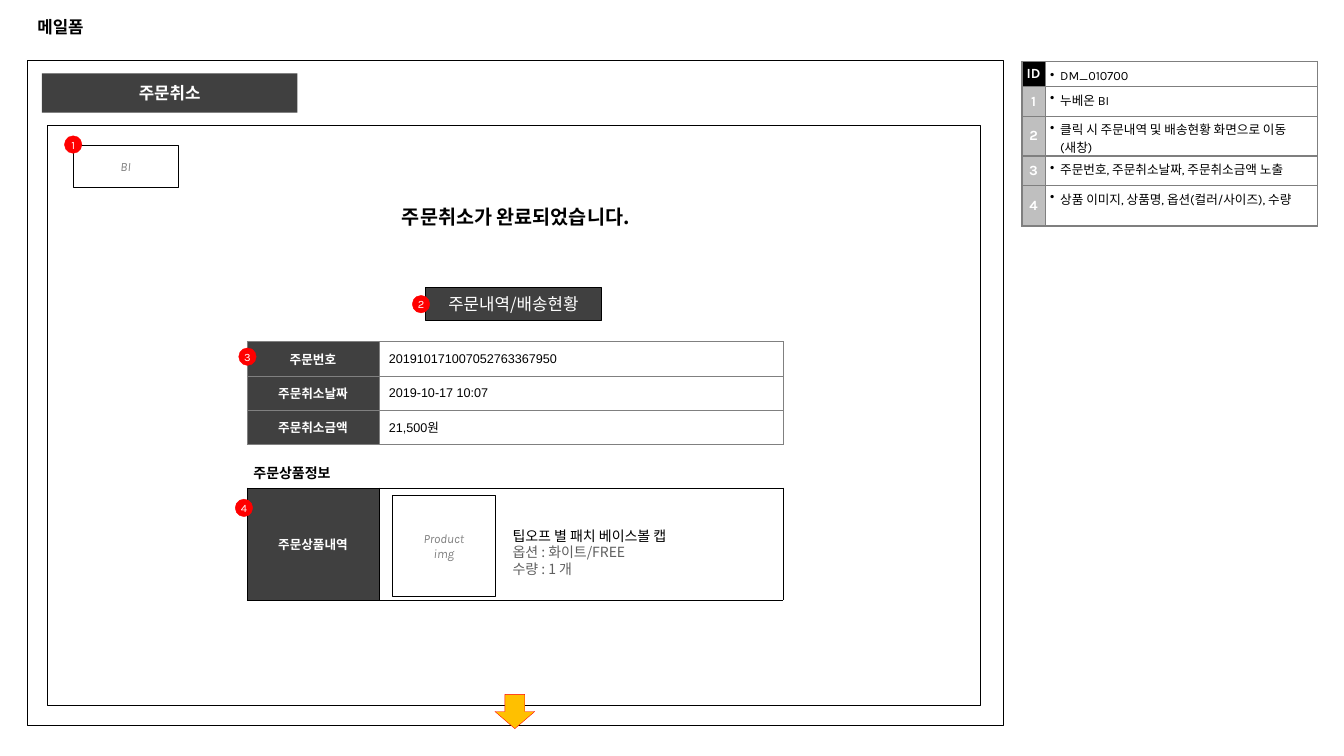
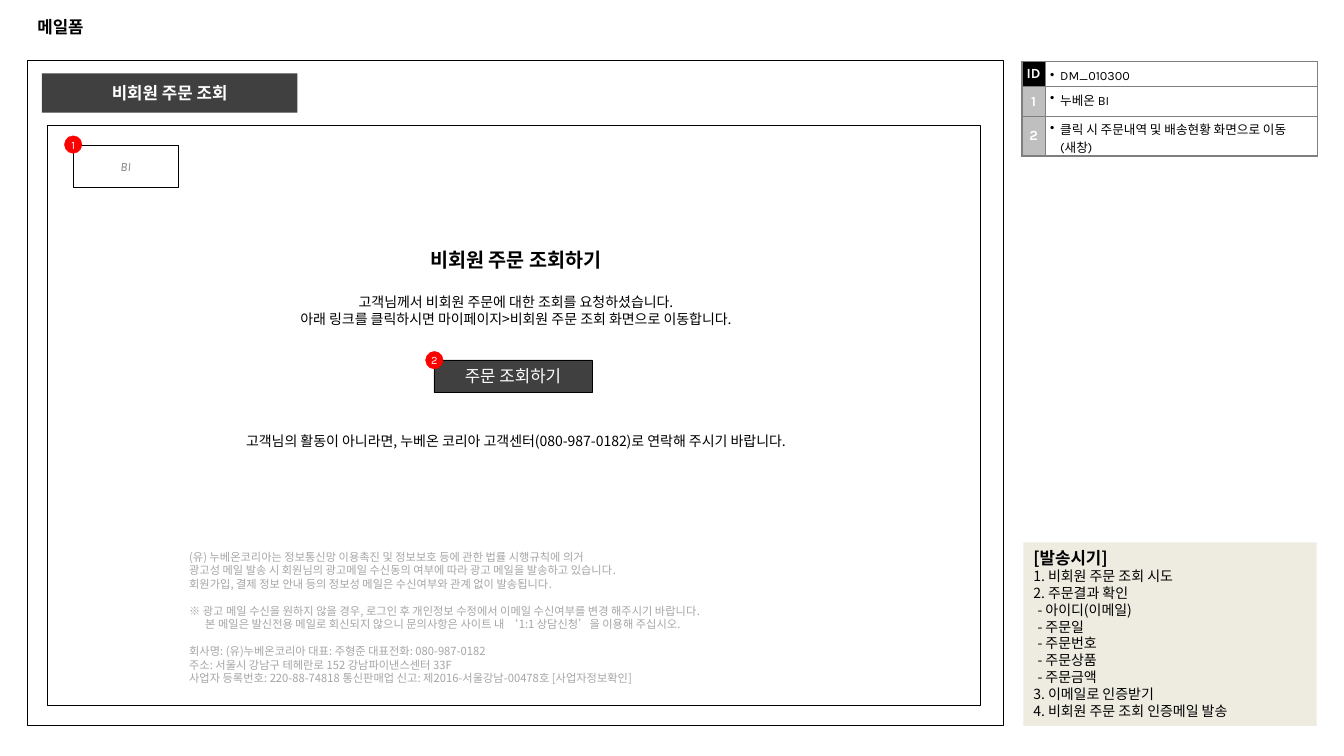
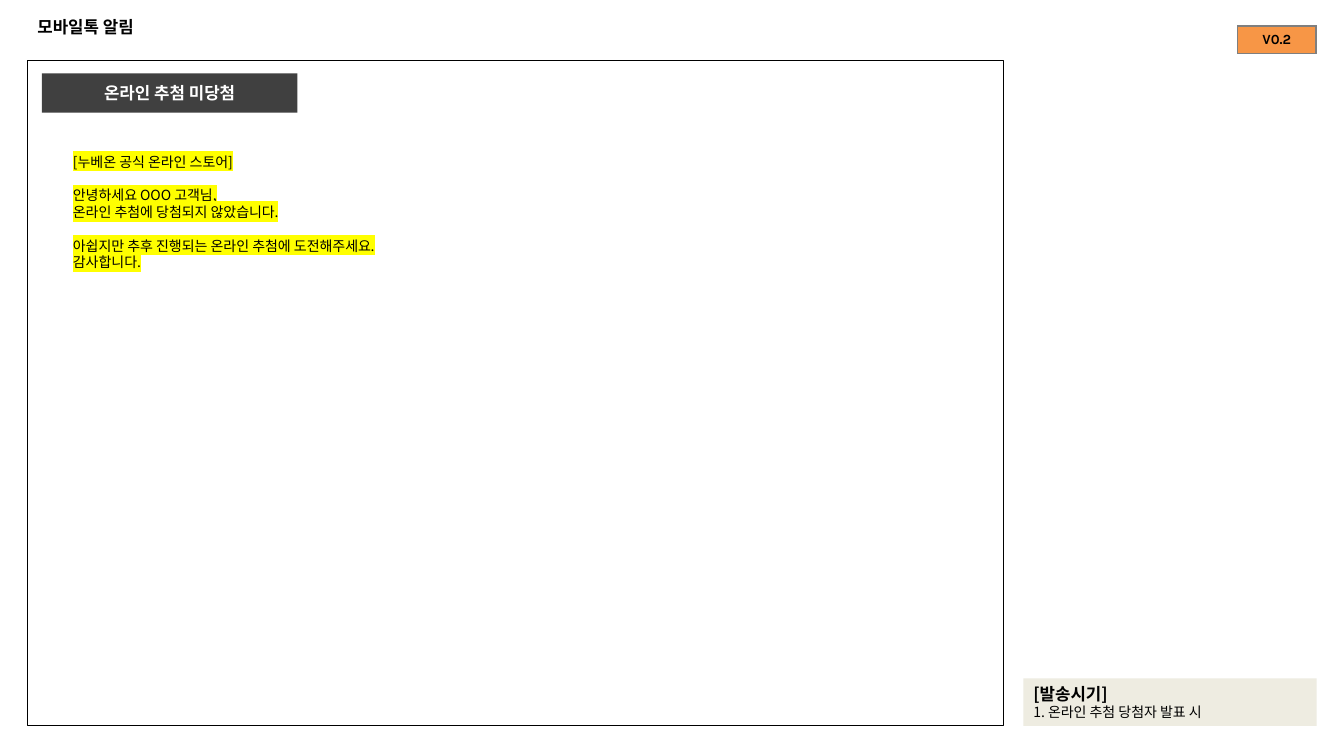
from lxml.etree import SubElement
from pptx import Presentation
from pptx.dml.color import RGBColor
from pptx.enum.shapes import MSO_SHAPE
from pptx.enum.text import MSO_ANCHOR, MSO_AUTO_SIZE, PP_ALIGN
from pptx.oxml.ns import qn
from pptx.util import Pt

COLORS = {
    "black": "000000", "white": "FFFFFF", "dark": "404040", "text gray": "606060",
    "gray": "808080", "border": "7F7F7F", "number": "BFBFBF", "legal": "A5A5A5",
    "red": "FF0000", "gold": "FFC000", "orange": "F79646", "beige": "EEECE1",
    "yellow": "FFFF00",
}
KOREAN = "Noto Sans CJK KR"
MARGINS = ("margin_left", "margin_top", "margin_right", "margin_bottom")
BASE = {
    "font": KOREAN, "size": 10, "color": "black", "bold": False, "italic": False,
    "align": PP_ALIGN.LEFT, "before": 0, "leading": None, "indent": 0,
    "bullet": False, "highlight": None,
}
CENTER = {"align": PP_ALIGN.CENTER}
NO_INSET = {"inset": (0, 0, 0, 0)}
TITLE = {"font": "Arial", "size": 12, "bold": True}
BAND = {**TITLE, **CENTER, "color": "white"}
BUTTON = {**CENTER, "size": 12, "color": "white"}
BADGE = {**CENTER, **NO_INSET, "font": "Karla", "size": 8, "color": "white"}
DUMMY = {**CENTER, "font": "Karla", "size": 9, "italic": True, "color": "gray",
         "inset": (3, 3, 3, 3)}
HEADING = {**CENTER, "size": 14, "bold": True}
BODY = {"leading": 12, "anchor": MSO_ANCHOR.TOP}
LEGAL = {"size": 8, "color": "legal", "leading": 9.6, "anchor": MSO_ANCHOR.TOP}
NOTE_HEAD = {"size": 12, "bold": True, "leading": 14.5}
ORDER_LABEL = {**CENTER, "font": "Arial", "size": 9, "bold": True, "color": "white"}
ORDER_VALUE = {"font": "Arial", "size": 9}
SIDE_LABEL = {**CENTER, **NO_INSET, "font": "Karla", "bold": True, "color": "white"}
SIDE_TEXT = {"font": "Karla", "size": 9, "bullet": True, "leading": 12.4,
             "anchor": MSO_ANCHOR.TOP, "inset": (3.6, 3.6, 3.6, 0)}
VERSION = {**SIDE_LABEL, "color": "black"}


def write(holder, lines, anchor=MSO_ANCHOR.MIDDLE, inset=(7.2, 3.6, 7.2, 3.6), **style):
    """Fill a text frame or a table cell; a line is a text or (text, own style)."""
    holder.vertical_anchor = anchor
    for side, margin in zip(MARGINS, inset):
        setattr(holder, side, Pt(margin))
    frame = getattr(holder, "text_frame", holder)
    frame.word_wrap = True
    for index, line in enumerate(lines):
        text, own = (line, {}) if isinstance(line, str) else line
        look = {**BASE, **style, **own}
        paragraph = frame.add_paragraph() if index else frame.paragraphs[0]
        paragraph.alignment = look["align"]
        paragraph.space_before = Pt(look["before"])
        if look["leading"]:
            paragraph.line_spacing = Pt(look["leading"])
        properties = paragraph._p.get_or_add_pPr()
        if look["indent"]:
            properties.set("marL", str(Pt(look["indent"])))
        if look["bullet"]:
            properties.set("marL", str(Pt(7.2)))
            properties.set("indent", str(-Pt(7.2)))
            SubElement(properties, qn("a:buChar"), char="•")
        run = paragraph.add_run()
        run.text = text
        for name, value in {"size": Pt(look["size"]), "bold": look["bold"],
                            "italic": look["italic"]}.items():
            setattr(run.font, name, value)
        run.font.color.rgb = RGBColor.from_string(COLORS[look["color"]])
        run_properties = run._r.get_or_add_rPr()
        if look["highlight"]:
            highlight = SubElement(run_properties, qn("a:highlight"))
            SubElement(highlight, qn("a:srgbClr"), val=COLORS[look["highlight"]])
        SubElement(run_properties, qn("a:latin"), typeface=look["font"])
        SubElement(run_properties, qn("a:ea"), typeface=KOREAN)


def badge(number, left, top):
    return (MSO_SHAPE.OVAL, (left, top, 12.5, 12.5), "red", "red", 0.25,
            [str(number)], BADGE)


# Tables: place, column widths, border colour and width, rows of (height, cells)
side_notes = [
    (21, "누베온 BI"),
    (28.5, "클릭 시 주문내역 및 배송현황 화면으로 이동(새창)"),
    (21, "주문번호, 주문취소날짜, 주문취소금액 노출"),
    (29, "상품 이미지, 상품명, 옵션(컬러/사이즈), 수량"),
]
side_tables = []
for screen_id, note_count in (("DM_010700", 4), ("DM_010300", 2)):
    rows = [(18, [("ID", SIDE_LABEL, "black"), (screen_id, SIDE_TEXT, None)])]
    for number, (height, note) in enumerate(side_notes[:note_count], 1):
        rows.append((height, [(str(number), SIDE_LABEL, "number"), (note, SIDE_TEXT, None)]))
    side_tables.append(((730, 44), (16.5, 194.5), "border", 1, rows))

order_rows = [
    (24.5, [(label, ORDER_LABEL, "dark"), (value, ORDER_VALUE, "white")])
    for label, value in (
        ("주문번호", "201910171007052763367950"),
        ("주문취소날짜", "2019-10-17 10:07"),
        ("주문취소금액", "21,500원"),
    )
]
order_table = ((176.5, 244), (94, 289), "gray", 0.25, order_rows)
product_table = ((176.5, 348.5), (94, 289), "black", 0.25,
                 [(80, [("주문상품내역", ORDER_LABEL, "dark"), ("", ORDER_VALUE, "white")])])
version_table = ((884, 18.5), (56,), "border", 1, [(20, [("V0.2", VERSION, "orange")])])

# Boxes: shape, place, fill, line, line width, lines of text, style
mail_boxes = [
    (MSO_SHAPE.RECTANGLE, (34, 89.5, 666, 414), None, "black", 0.25, [], {}),
    (MSO_SHAPE.RECTANGLE, (52.5, 103.5, 74.5, 30.5), None, "black", 0.25, ["BI"], DUMMY),
    badge(1, 46, 97),
]
cancel_boxes = [
    (MSO_SHAPE.RECTANGLE, (304, 205, 125.5, 23.5), "dark", "black", 0.25,
     ["주문내역/배송현황"], BUTTON),
    (MSO_SHAPE.RECTANGLE, (280, 353.5, 74, 72.5), None, "black", 0.25,
     ["Product", "img"], DUMMY),
    (MSO_SHAPE.DOWN_ARROW, (353.5, 496, 28.5, 24.5), "gold", "red", 0.25, [], {}),
    badge(2, 294.5, 211),
    badge(3, 170.5, 248.5),
    badge(4, 168, 356.5),
]
guest_boxes = [
    (MSO_SHAPE.RECTANGLE, (310, 257, 113, 23.5), "dark", "black", 0.25,
     ["주문 조회하기"], BUTTON),
    badge(2, 304, 251),
    (MSO_SHAPE.RECTANGLE, (731, 387.5, 209.5, 131), "beige", None, 0, [
        ("[발송시기]", NOTE_HEAD),
        "1. 비회원 주문 조회 시도",
        "2. 주문결과 확인",
        *[(f"- {item}", {"indent": 3})
          for item in ("아이디(이메일)", "주문일", "주문번호", "주문상품", "주문금액")],
        "3. 이메일로 인증받기",
        "4. 비회원 주문 조회 인증메일 발송",
    ], BODY),
]
raffle_boxes = [
    (MSO_SHAPE.RECTANGLE, (731, 484.5, 209.5, 34), "beige", None, 0,
     [("[발송시기]", NOTE_HEAD), "1. 온라인 추첨 당첨자 발표 시"], BODY),
]

# Texts: place, lines, style
cancel_texts = [
    ((128.5, 142.5, 480, 24), ["주문취소가 완료되었습니다."], HEADING),
    ((174, 328, 124, 19), ["주문상품정보"], {"bold": True}),
    ((359, 372.5, 171, 44), [
        "팁오프 별 패치 베이스볼 캡",
        ("옵션 : 화이트/FREE", {"color": "text gray"}),
        ("수량 : 1 개", {"color": "text gray"}),
    ], {"leading": 12}),
]
guest_texts = [
    ((128.5, 173, 480, 177), [
        ("비회원 주문 조회하기", {**HEADING, "leading": 17}),
        ("고객님께서 비회원 주문에 대한 조회를 요청하셨습니다.", {"before": 16.5}),
        "아래 링크를 클릭하시면 마이페이지>비회원 주문 조회 화면으로 이동합니다.",
        ("고객님의 활동이 아니라면, 누베온 코리아 고객센터(080-987-0182)로 연락해 주시기 바랍니다.",
         {"before": 75}),
    ], {**BODY, **CENTER}),
    ((128, 389.5, 480, 104.5), [
        "(유) 누베온코리아는 정보통신망 이용촉진 및 정보보호 등에 관한 법률 시행규칙에 의거",
        "광고성 메일 발송 시 회원님의 광고메일 수신동의 여부에 따라 광고 메일을 발송하고 있습니다.",
        "회원가입, 결제 정보 안내 등의 정보성 메일은 수신여부와 관계 없이 발송됩니다.",
        ("※ 광고 메일 수신을 원하지 않을 경우, 로그인 후 개인정보 수정에서 이메일 수신여부를 변경 해주시기 바랍니다.",
         {"before": 9.6}),
        ("본 메일은 발신전용 메일로 회신되지 않으니 문의사항은 사이트 내 ‘1:1 상담신청’을 이용해 주십시오.",
         {"indent": 11.5}),
        ("회사명: (유)누베온코리아 대표: 주형준 대표전화: 080-987-0182", {"before": 9.6}),
        "주소: 서울시 강남구 테헤란로 152 강남파이낸스센터 33F",
        "사업자 등록번호: 220-88-74818 통신판매업 신고: 제2016-서울강남-00478호 [사업자정보확인]",
    ], LEGAL),
]
raffle_texts = [
    ((45, 106, 297, 92), [
        "[누베온 공식 온라인 스토어]",
        ("안녕하세요 OOO 고객님,", {"before": 12}),
        "온라인 추첨에 당첨되지 않았습니다.",
        ("아쉽지만 추후 진행되는 온라인 추첨에 도전해주세요.", {"before": 12}),
        "감사합니다.",
    ], {**BODY, "highlight": "yellow"}),
]

pages = [
    ("메일폼", "주문취소", [order_table, product_table, side_tables[0]],
     mail_boxes + cancel_boxes, cancel_texts),
    ("메일폼", "비회원 주문 조회", [side_tables[1]], mail_boxes + guest_boxes, guest_texts),
    ("모바일톡 알림", "온라인 추첨 미당첨", [version_table], raffle_boxes, raffle_texts),
]

presentation = Presentation()
presentation.slide_width, presentation.slide_height = Pt(960), Pt(540)
layout = presentation.slide_layouts[5]
layout_title = layout.placeholders[0]
for name, value in {"left": 19.5, "top": 5, "width": 921, "height": 28}.items():
    setattr(layout_title, name, Pt(value))

for title, band, tables, boxes, texts in pages:
    slide = presentation.slides.add_slide(layout)
    title_frame = slide.shapes.title.text_frame
    title_frame.auto_size = MSO_AUTO_SIZE.NONE
    write(title_frame, [title], **TITLE)

    for (left, top), columns, border, border_width, rows in tables:
        heights = [height for height, cells in rows]
        table = slide.shapes.add_table(len(rows), len(columns), Pt(left), Pt(top),
                                       Pt(sum(columns)), Pt(sum(heights))).table
        table.first_row = table.horz_banding = False
        for column, width in zip(table.columns, columns):
            column.width = Pt(width)
        for row, (height, contents) in zip(table.rows, rows):
            row.height = Pt(height)
            for cell, (text, style, fill) in zip(row.cells, contents):
                write(cell, [text] if text else [], **style)
                cell_properties = cell._tc.get_or_add_tcPr()
                for edge in ("a:lnL", "a:lnR", "a:lnT", "a:lnB"):
                    edge_line = SubElement(cell_properties, qn(edge), w=str(Pt(border_width)))
                    edge_fill = SubElement(edge_line, qn("a:solidFill"))
                    SubElement(edge_fill, qn("a:srgbClr"), val=COLORS[border])
                if fill:
                    cell.fill.solid()
                    cell.fill.fore_color.rgb = RGBColor.from_string(COLORS[fill])
                else:
                    cell.fill.background()

    shared_boxes = [
        (MSO_SHAPE.RECTANGLE, (19.5, 43, 697.5, 475.5), None, "black", 0.75, [], {}),
        (MSO_SHAPE.RECTANGLE, (30, 52.5, 182.5, 28), "dark", None, 0, [band], BAND),
    ]
    for kind, place, fill, line, line_width, lines, style in shared_boxes + boxes:
        shape = slide.shapes.add_shape(kind, *map(Pt, place))
        shape.shadow.inherit = False
        if fill:
            shape.fill.solid()
            shape.fill.fore_color.rgb = RGBColor.from_string(COLORS[fill])
        else:
            shape.fill.background()
        if line:
            shape.line.color.rgb = RGBColor.from_string(COLORS[line])
            shape.line.width = Pt(line_width)
        else:
            shape.line.fill.background()
        write(shape.text_frame, lines, **style)

    for place, lines, style in texts:
        text_box = slide.shapes.add_textbox(*map(Pt, place))
        write(text_box.text_frame, lines, **style)

presentation.save("out.pptx")
